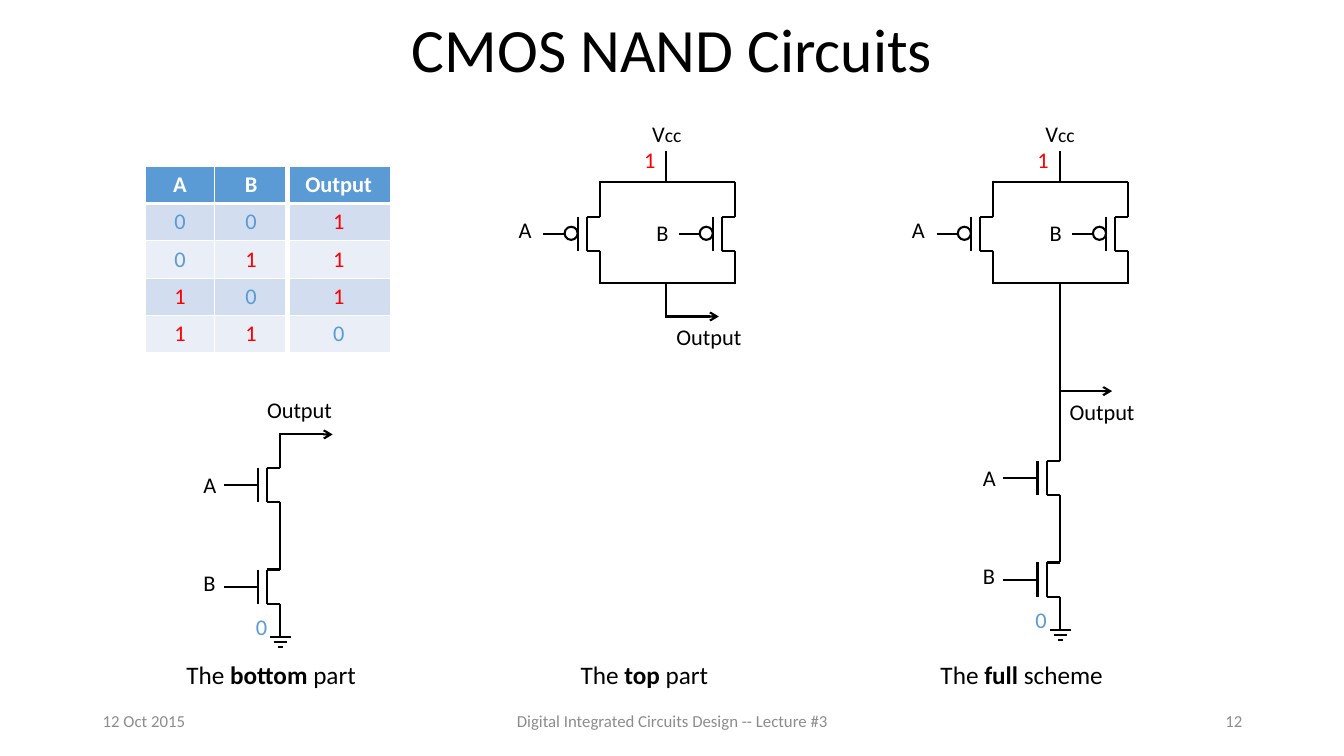
from lxml import etree
from pptx import Presentation
from pptx.dml.color import RGBColor
from pptx.enum import shapes, text
from pptx.oxml import ns
from pptx import util as u

BLACK = RGBColor(0x00, 0x00, 0x00)
WHITE = RGBColor(0xFF, 0xFF, 0xFF)
GRAY = RGBColor(0x8C, 0x8C, 0x8C)
RED = RGBColor(0xFF, 0x00, 0x00)
BLUE = RGBColor(0x5B, 0x9B, 0xD5)
BAND_DARK = RGBColor(0xD2, 0xDE, 0xEF)
BAND_LIGHT = RGBColor(0xEA, 0xEF, 0xF7)

LEFT, CENTER, RIGHT = text.PP_ALIGN.LEFT, text.PP_ALIGN.CENTER, text.PP_ALIGN.RIGHT
LOGIC_COLORS = {"0": BLUE, "1": RED}
LABEL_HEIGHT = 37
CHANNEL = 34
STAGE_PITCH = 101


def px(length):
    return u.Emu(length * 9144)


def write(para, words, size=16, color=BLACK, bold=False, align=LEFT):
    para.alignment = align
    span = para.add_run()
    span.text = words
    span.font.name = "Calibri"
    span.font.size = u.Pt(size)
    span.font.color.rgb = color
    span.font.bold = bold


class Board:
    font_sizes = {"title": 44, "caption": 18, "footer": 12}
    stroke = 1.5

    def __init__(self, deck):
        self.page = deck.slides.add_slide(deck.slide_layouts[6])
        self.layer = self.page.shapes

    def group(self):
        self.layer = self.page.shapes.add_group_shape().shapes

    def ungroup(self):
        self.layer = self.page.shapes

    def label(self, left, top, width, words, height=LABEL_HEIGHT, wrap=False, **style):
        box = self.layer.add_textbox(px(left), px(top), px(width), px(height))
        frame = box.text_frame
        frame.word_wrap = wrap
        if wrap:
            frame.vertical_anchor = text.MSO_ANCHOR.MIDDLE
        else:
            frame.auto_size = text.MSO_AUTO_SIZE.SHAPE_TO_FIT_TEXT
        para = frame.paragraphs[0]
        write(para, words, **style)
        return para

    def title(self, words):
        para = self.label(92, 0, 1150, words, height=104, wrap=True,
                          size=self.font_sizes["title"], align=CENTER)
        para.line_spacing = 0.9

    def footer(self, left, width, words, align):
        self.label(left, 695, width, words, height=40, wrap=True,
                   size=self.font_sizes["footer"], color=GRAY, align=align)

    def caption(self, left, width, key, noun):
        size = self.font_sizes["caption"]
        para = self.label(left, 649, width, "The ", height=40, size=size)
        write(para, key + " ", size=size, bold=True)
        write(para, noun, size=size)

    def wire(self, x1, y1, x2, y2, arrow=False):
        line = self.layer.add_connector(
            shapes.MSO_CONNECTOR.STRAIGHT, px(x1), px(y1), px(x2), px(y2))
        line.line.color.rgb = BLACK
        line.line.width = u.Pt(self.stroke)
        if arrow:
            outline = line.line._get_or_add_ln()
            etree.SubElement(outline, ns.qn("a:tailEnd"), type="arrow")
        etree.SubElement(line._element.spPr, ns.qn("a:effectLst"))

    def bubble(self, left, top):
        ring = self.layer.add_shape(
            shapes.MSO_SHAPE.OVAL, px(left), px(top), px(13), px(13))
        ring.shadow.inherit = False
        ring.fill.solid()
        ring.fill.fore_color.rgb = WHITE
        ring.line.color.rgb = BLACK
        ring.line.width = u.Pt(self.stroke)

    def transistor(self, x, y, drain=34, source=34, inverted=False):
        bottom, middle = y + CHANNEL, y + CHANNEL // 2
        self.wire(x - 13, y, x - 13, bottom)
        self.wire(x - 13, y, x, y)
        self.wire(x - 13, bottom, x, bottom)
        self.wire(x, y - drain, x, y)
        self.wire(x, bottom, x, bottom + source)
        self.wire(x - 22, y, x - 22, bottom)
        self.wire(x - 22, middle, x - 56, middle)
        if inverted:
            self.bubble(x - 35, y + 10)

    def ground(self, x, y):
        for step, reach in enumerate((10, 6, 2)):
            self.wire(x - reach, y + 5 * step, x + reach + 1, y + 5 * step)

    def output(self, x, y, label_left, label_top):
        self.wire(x - 1, y, x + 52, y, arrow=True)
        self.label(label_left, label_top, 85, "Output")

    def pull_up(self, x, output_y):
        left, right = x - 66, x + 68
        for drain_x in (left, right):
            self.transistor(drain_x, 215, source=33, inverted=True)
        for bus_y in (181, 281):
            self.wire(left - 1, bus_y, right, bus_y)
        self.wire(x, 150, x, 182)
        self.wire(x, 282, x, output_y)
        write(self.label(x - 24, 114, 49, "V"), "cc", size=14)
        self.label(x - 32, 140, 32, "1", color=RED)
        self.label(x - 157, 210, 33, "A", align=RIGHT)
        self.label(x - 22, 212, 34, "B", align=RIGHT)
        self.output(x, output_y, x, output_y + 2)

    def pull_down(self, x, y, drain):
        lower = y + STAGE_PITCH
        self.transistor(x, y, drain=drain)
        self.transistor(x, lower)
        self.ground(x, lower + 67)
        self.label(x - 34, lower + 38, 32, "0", color=BLUE)
        self.label(x - 86, y - 1, 33, "A")
        self.label(x - 86, lower - 5, 34, "B")

    def border(self, cell, side, points):
        line = etree.SubElement(cell._tc.get_or_add_tcPr(), ns.qn("a:ln" + side),
                                w=str(u.Pt(points)))
        fill = etree.SubElement(line, ns.qn("a:solidFill"))
        etree.SubElement(fill, ns.qn("a:srgbClr"), val=str(WHITE))

    def truth_table(self, left, top, widths, rows):
        grid = self.layer.add_table(len(rows), len(widths), px(left), px(top),
                                    px(sum(widths)), px(37 * len(rows))).table
        grid.horz_banding = False
        for column, width in zip(grid.columns, widths):
            column.width = px(width)
        for r, row in enumerate(rows):
            grid.rows[r].height = px(37)
            for c, value in enumerate(row):
                cell = grid.cell(r, c)
                edges = {"L": 4.5 if c == 2 else 1, "R": 4.5 if c == 1 else 1,
                         "T": 3 if r == 1 else 1, "B": 3 if r == 0 else 1}
                for side, points in edges.items():
                    self.border(cell, side, points)
                cell.fill.solid()
                band = BAND_DARK if r % 2 else BAND_LIGHT
                cell.fill.fore_color.rgb = BLUE if r == 0 else band
                cell.vertical_anchor = text.MSO_ANCHOR.MIDDLE
                write(cell.text_frame.paragraphs[0], value, bold=r == 0,
                      color=LOGIC_COLORS.get(value, WHITE), align=CENTER)


def main():
    deck = Presentation()
    deck.slide_width, deck.slide_height = px(1333), px(750)
    board = Board(deck)
    board.title("CMOS NAND Circuits")
    board.footer(92, 300, "12 Oct 2015", LEFT)
    board.footer(442, 450, "Digital Integrated Circuits Design -- Lecture #3", CENTER)
    board.footer(942, 300, "12", RIGHT)
    board.truth_table(144, 165, (69, 72, 102),
                      (("A", "B", "Output"), "001", "011", "101", "110"))

    board.group()
    board.pull_down(278, 464, drain=34)
    board.output(278, 431, 255, 388)
    board.group()
    board.pull_up(661, 314)
    board.group()
    board.pull_up(1051, 388)
    board.pull_down(1051, 457, drain=69)
    board.ungroup()

    board.caption(175, 191, "bottom", "part")
    board.caption(566, 148, "top", "part")
    board.caption(923, 183, "full", "scheme")
    deck.save("out.pptx")


if __name__ == "__main__":
    main()
